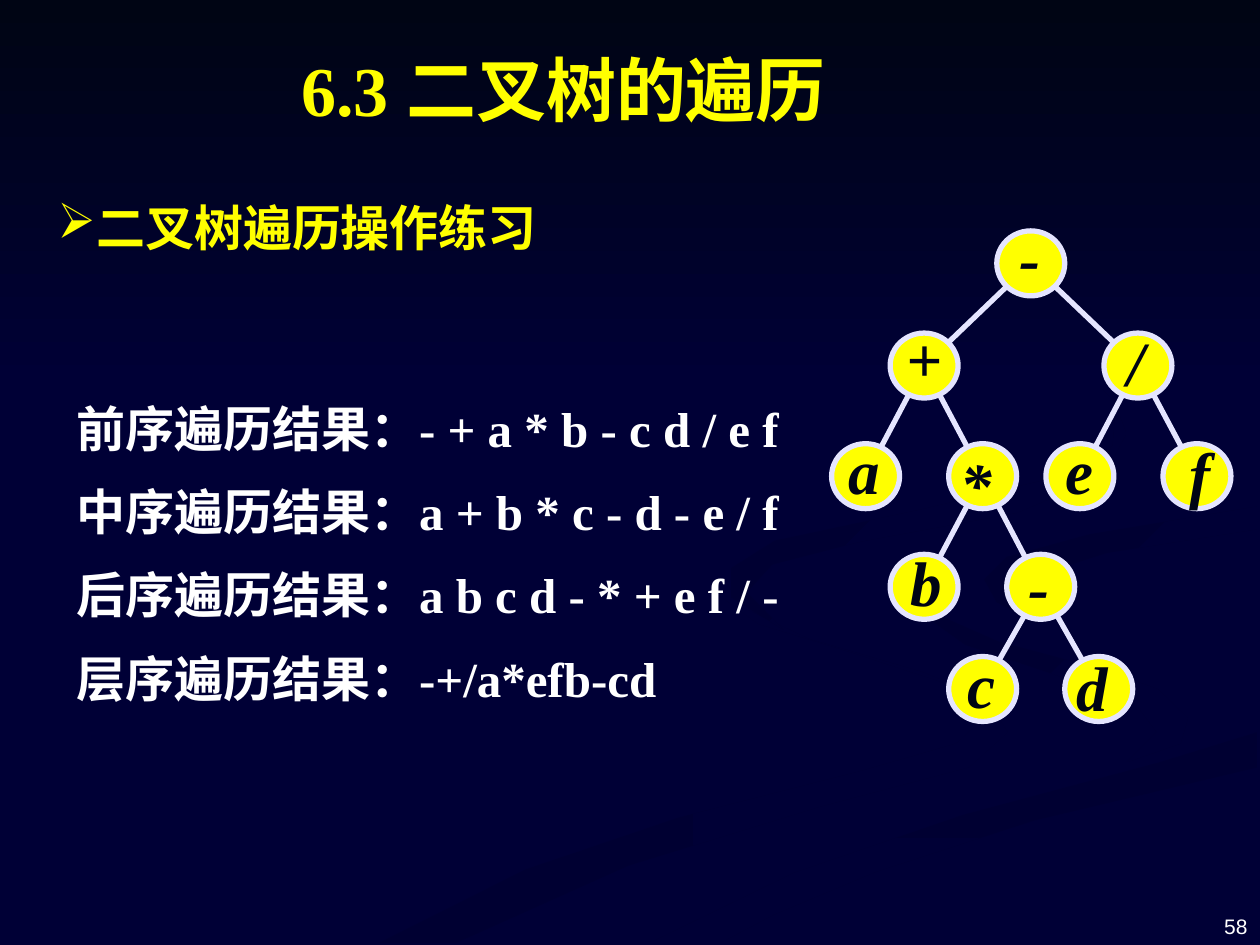
from lxml import etree
from pptx import Presentation
from pptx.dml.color import RGBColor
from pptx.enum import shapes, text
from pptx.oxml import ns
from pptx.util import Cm, Pt

NAVY = RGBColor(0x00, 0x00, 0x36)
DEEP_NAVY = RGBColor(0x00, 0x00, 0x32)
INK = RGBColor(0x00, 0x05, 0x14)
YELLOW = RGBColor(0xFF, 0xFF, 0x00)
WHITE = RGBColor(0xFF, 0xFF, 0xFF)
LAVENDER = RGBColor(0xE5, 0xE5, 0xFF)
SERIF, SANS = "Times New Roman", "Arial"

# Content
TITLE = "6.3 二叉树的遍历"
HEADING = "二叉树遍历操作练习"
RESULTS = [
    "前序遍历结果：- + a * b - c d / e f",
    "中序遍历结果：a + b * c - d - e / f",
    "后序遍历结果：a b c d - * + e f / -",
    "层序遍历结果：-+/a*efb-cd",
]
PAGE = "58"

# Tree: key -> (symbol, centre x in cm, level, symbol offset in cm)
NODES = {
    "root": ("-", 20.78, 0, (-0.02, -0.15)),
    "plus": ("+", 18.63, 1, (-0.05, -0.16)),
    "divide": ("/", 22.94, 1, (-0.03, -0.08)),
    "a": ("a", 17.45, 2, (-0.04, -0.13)),
    "times": ("*", 19.81, 2, (-0.14, 0.13)),
    "e": ("e", 21.77, 2, (0, -0.13)),
    "f": ("f", 24.13, 2, (0.06, -0.07)),
    "b": ("b", 18.63, 3, (0.03, -0.12)),
    "minus": ("-", 20.98, 3, (-0.04, -0.04)),
    "c": ("c", 19.81, 4, (-0.02, -0.12)),
    "d": ("d", 22.15, 4, (-0.14, -0.05)),
}
CHILDREN = {
    "root": ("plus", "divide"),
    "plus": ("a", "times"),
    "divide": ("e", "f"),
    "times": ("b", "minus"),
    "minus": ("c", "d"),
}
LEVELS = [5.31, 7.37, 9.6, 11.83, 13.89]
NODE_W, NODE_H = 1.37, 1.31
EDGE_INSET = 0.15

# Faint background ribbons: (gradient angle, outline in cm)
RIBBONS = [
    (0, [(19.84, 14.05), (18.57, 13.54), (16.31, 12.88), (14.91, 12.22),
         (14.6, 11.66), (14.48, 11.99), (15.29, 12.58), (17.25, 13.18),
         (19.1, 13.79), (19.94, 14.38), (19.28, 14.99), (17.37, 15.54),
         (13.69, 16.48), (10.59, 17.53), (7.62, 19.02), (9.17, 19.02),
         (12.67, 17.45), (16.54, 16.26), (19.53, 15.47), (20.32, 14.76)]),
    (315, [(23.95, 14.48), (23.34, 13.89), (22.1, 13.46), (20.12, 12.93),
           (18.62, 12.27), (18.39, 11.79), (18.62, 12.4), (19.46, 13),
           (21.29, 13.61), (22.86, 14.15), (23.32, 14.76), (22.71, 15.37),
           (23.8, 14.99)]),
    (270, [(13.18, 18.97), (12.78, 19.02), (14.5, 19.02), (15.6, 18.44),
           (17.65, 17.58), (20.85, 16.54), (25.35, 15.47), (25.35, 14.76),
           (23.37, 15.37), (19.41, 16.43), (16, 17.6)]),
    (315, [(19.84, 11.68), (20.09, 12.14), (20.98, 12.6), (20.45, 12.09),
           (20.73, 11.66), (22.3, 11.15), (25.35, 10.67), (25.35, 10.21),
           (21.97, 10.77), (20.29, 11.23)]),
    (315, [(17.35, 10.92), (20.5, 10.34), (22.25, 9.6), (22.71, 8.74),
           (22.35, 7.8), (21.41, 6.99), (19.36, 5.92), (21.49, 7.09),
           (22.5, 8.13), (22.43, 8.99), (21.39, 9.6), (18.62, 10.26),
           (15.62, 10.9), (14.73, 11.46), (14.73, 12.04), (15.8, 12.7),
           (15.06, 11.94), (15.57, 11.38)]),
]


def style(tf, size, color, font, italic=False):
    for p in tf.paragraphs:
        for r in p.runs:
            r.font.name, r.font.size = font, Pt(size)
            r.font.color.rgb = color
            r.font.bold, r.font.italic = font == SERIF or size > 12, italic


def place(sp, x, y, w, h):
    sp.left, sp.top, sp.width, sp.height = Cm(x), Cm(y), Cm(w), Cm(h)


def set_bullet(p, char=None, indent=0):
    pPr = p._p.get_or_add_pPr()
    pPr.set("marL", str(Cm(indent)))
    pPr.set("indent", "0")
    bu = etree.SubElement(pPr, ns.qn("a:buChar" if char else "a:buNone"))
    if char:
        bu.set("char", char)


def paint_gradient(sp, first, last, angle):
    sp.shadow.inherit = False
    sp.line.fill.background()
    sp.fill.gradient()
    sp.fill.gradient_angle = angle
    for stop, color in zip(sp.fill.gradient_stops, (first, last)):
        stop.color.rgb = color


def add_text(s, x, y, w, h, words, wrap=True):
    tf = s.shapes.add_textbox(Cm(x), Cm(y), Cm(w), Cm(h)).text_frame
    tf.word_wrap = wrap
    tf.text = words
    return tf


def centre(key):
    _, x, level, _ = NODES[key]
    return x, LEVELS[level]


def add_edge(s, parent, child):
    (x1, y1), (x2, y2) = centre(parent), centre(child)
    dx, dy = (x2 - x1) * EDGE_INSET, (y2 - y1) * EDGE_INSET
    edge = s.shapes.add_connector(shapes.MSO_CONNECTOR.STRAIGHT, Cm(x1 + dx),
                                  Cm(y1 + dy), Cm(x2 - dx), Cm(y2 - dy))
    edge.line.color.rgb, edge.line.width = LAVENDER, Pt(3)
    etree.SubElement(edge._element.spPr, ns.qn("a:effectLst"))


def add_node(s, key):
    x, y = centre(key)
    sp = s.shapes.add_shape(shapes.MSO_SHAPE.OVAL, Cm(x - NODE_W / 2),
                            Cm(y - NODE_H / 2), Cm(NODE_W), Cm(NODE_H))
    sp.shadow.inherit = False
    sp.fill.solid()
    sp.fill.fore_color.rgb = YELLOW
    sp.line.color.rgb, sp.line.width = LAVENDER, Pt(3)


def add_symbol(s, key):
    symbol, _, _, (dx, dy) = NODES[key]
    x, y = centre(key)
    w, h = 1.1, 1.78
    tf = add_text(s, x + dx - w / 2, y + dy - h / 2, w, h, symbol, wrap=False)
    tf.vertical_anchor = text.MSO_ANCHOR.MIDDLE
    tf.paragraphs[0].alignment = text.PP_ALIGN.CENTER
    style(tf, 36, INK, SERIF, italic=True)


def main():
    prs = Presentation()
    prs.slide_width, prs.slide_height = Cm(25.4), Cm(19.05)
    s = prs.slides.add_slide(prs.slide_layouts[1])
    title, body = s.placeholders

    # Background
    s.background.fill.solid()
    s.background.fill.fore_color.rgb = NAVY
    for angle, points in RIBBONS:
        start, *rest = [(Cm(x), Cm(y)) for x, y in points]
        builder = s.shapes.build_freeform(*start)
        builder.add_line_segments(rest, close=True)
        paint_gradient(builder.convert_to_shape(), DEEP_NAVY, NAVY, angle)
    band = s.shapes.add_shape(shapes.MSO_SHAPE.RECTANGLE, 0, 0,
                              prs.slide_width, Cm(7.82))
    paint_gradient(band, INK, NAVY, 270)

    # Title and traversal results, brought in front of the background
    for sp in (title, body):
        s.shapes._spTree.append(sp._element)
        sp.text_frame.vertical_anchor = text.MSO_ANCHOR.TOP
        sp.text_frame.auto_size = text.MSO_AUTO_SIZE.NONE
    place(title, 5.82, 0.81, 16.2, 1.96)
    title.text_frame.text = TITLE
    title.text_frame.paragraphs[0].alignment = text.PP_ALIGN.JUSTIFY
    style(title.text_frame, 40, YELLOW, SERIF)

    place(body, 0.79, 7.9, 16.38, 6.78)
    body.text_frame.text = "\n".join(RESULTS)
    for i, p in enumerate(body.text_frame.paragraphs):
        set_bullet(p, indent=0.5)
        p.space_before = Pt(14 if i else 0)
    style(body.text_frame, 28, WHITE, SERIF)

    # Heading and page number
    tf = add_text(s, 0.91, 3.86, 12.04, 1.6, HEADING)
    set_bullet(tf.paragraphs[0], "➢")
    style(tf, 28, YELLOW, SANS)
    tf = add_text(s, 19.48, 17.73, 5.92, 1.32, PAGE)
    tf.vertical_anchor = text.MSO_ANCHOR.BOTTOM
    tf.paragraphs[0].alignment = text.PP_ALIGN.RIGHT
    style(tf, 12, WHITE, SANS)

    # Expression tree
    for parent, children in CHILDREN.items():
        for child in children:
            add_edge(s, parent, child)
    for draw in (add_node, add_symbol):
        for key in NODES:
            draw(s, key)

    prs.save("out.pptx")


if __name__ == "__main__":
    main()
